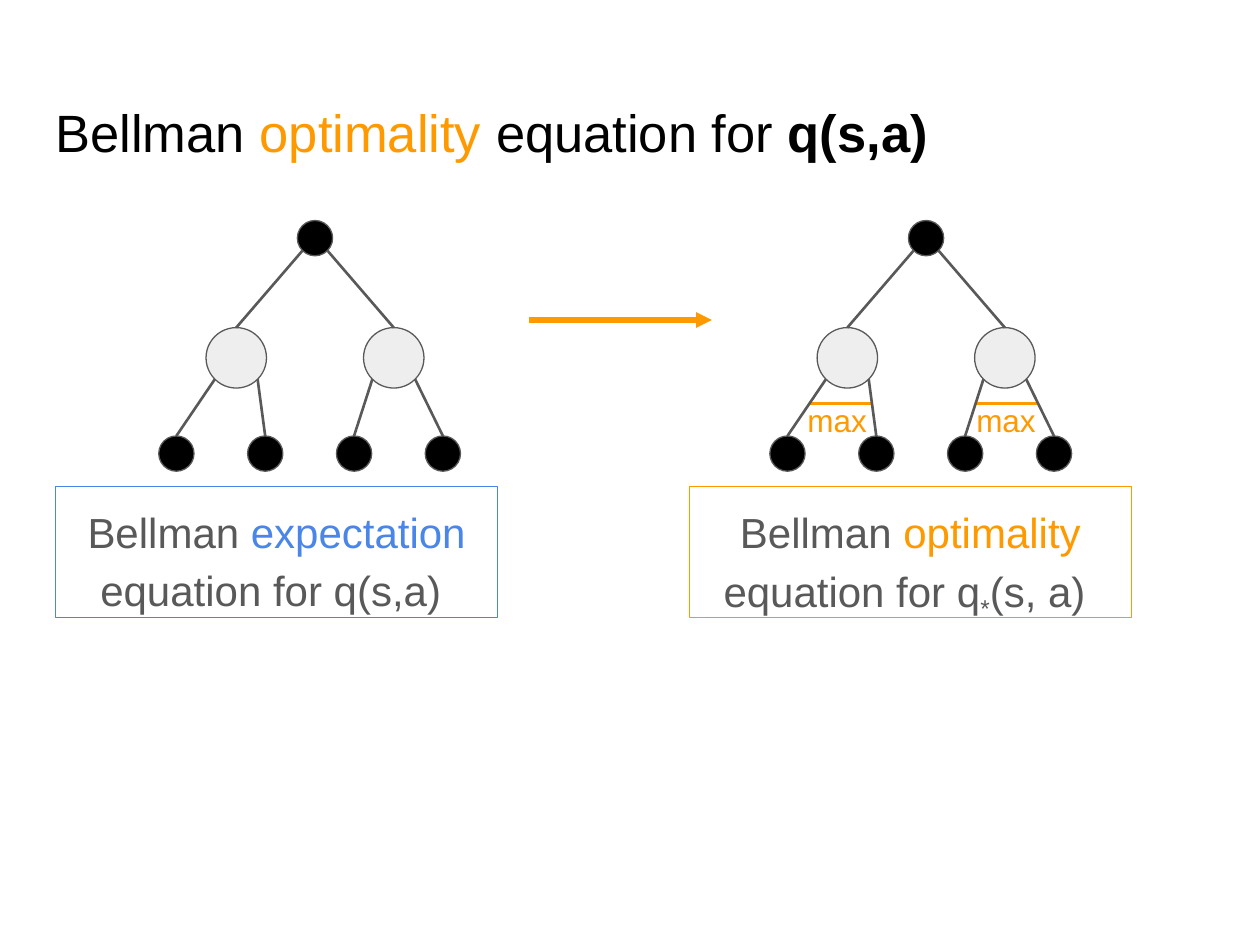
from math import pi, sin

from lxml.etree import SubElement
from pptx import Presentation
from pptx.dml.color import RGBColor
from pptx.enum.shapes import MSO_CONNECTOR, MSO_SHAPE
from pptx.enum.text import MSO_ANCHOR, PP_ALIGN
from pptx.oxml.ns import qn
from pptx.util import Inches, Pt

BLACK, GRAY, PALE = "000000", "595959", "EEEEEE"
ORANGE, BLUE = "FF9900", "4A86E8"


def color(target, value):
    target.rgb = RGBColor.from_string(value)


def add_spans(paragraph, size, spans):
    for text, value in spans:
        span = paragraph.add_run()
        span.text = text
        span.font.name = "Arial"
        span.font.size = Pt(size)
        color(span.font.color, value)


def set_frame(frame, top_margin=0.1):
    frame.word_wrap = True
    frame.vertical_anchor = MSO_ANCHOR.TOP
    frame.margin_left = frame.margin_right = frame.margin_bottom = Inches(0.1)
    frame.margin_top = Inches(top_margin)


def add_line(page, start, end, value=GRAY, width=1.5):
    line = page.shapes.add_connector(
        MSO_CONNECTOR.STRAIGHT, *(Inches(length) for length in (*start, *end)))
    color(line.line.color, value)
    line.line.width = Pt(width)
    SubElement(line._element.spPr, qn("a:effectLst"))
    return line


def add_shape(page, kind, left, top, width, height, outline, fill=None):
    shape = page.shapes.add_shape(
        kind, Inches(left), Inches(top), Inches(width), Inches(height))
    shape.shadow.inherit = False
    if fill:
        shape.fill.solid()
        color(shape.fill.fore_color, fill)
    else:
        shape.fill.background()
    color(shape.line.color, outline)
    shape.line.width = Pt(0.75)
    return shape


def add_node(page, center, top, size, fill):
    return add_shape(page, MSO_SHAPE.OVAL, center - size / 2, top, size, size, GRAY, fill)


def add_branch(page, center, top, size, side, child, child_center, child_top):
    reach = size / 2 * sin(pi / 4)
    start = (center + side * reach, top + size / 2 + reach)
    branch = add_line(page, start, (child_center, child_top))
    branch.end_connect(child, 0)


def add_max(page, left, top, bar_left):
    add_line(page, (bar_left, top + 0.12), (bar_left + 0.49, top + 0.12), ORANGE)
    label = page.shapes.add_textbox(Inches(left), Inches(top), Inches(1.18), Inches(0.5))
    set_frame(label.text_frame)
    add_spans(label.text_frame.paragraphs[0], 18, [("max", ORANGE)])


def add_tree(page, left, top, with_max=False):
    action_size, state_size = 0.28, 0.48
    state_top, leaf_top = top + 0.85, top + 1.71
    root = left + 1.24
    if with_max:
        add_max(page, left + 0.2, top + 1.33, left + 0.32)
        add_max(page, left + 1.54, top + 1.33, left + 1.63)
    add_node(page, root, top, action_size, BLACK)
    for index, side in enumerate((-1, 1)):
        center = root + side * 0.625
        state = add_node(page, center, state_top, state_size, PALE)
        add_branch(page, root, top, action_size, side, state, center, state_top)
        for offset, leaf_side in enumerate((-1, 1)):
            leaf_center = left + 0.14 + 0.705 * (2 * index + offset)
            leaf = add_node(page, leaf_center, leaf_top, action_size, BLACK)
            add_branch(page, center, state_top, state_size, leaf_side,
                       leaf, leaf_center, leaf_top)


def add_caption(page, left, top, outline, spans):
    box = add_shape(page, MSO_SHAPE.RECTANGLE, left, top, 3.51, 1.04, outline)
    set_frame(box.text_frame)
    para = box.text_frame.paragraphs[0]
    para.alignment = PP_ALIGN.CENTER
    para.line_spacing = 1.15
    para.space_after = Pt(16)
    add_spans(para, 24, spans)
    return para


def add_title(page, left, top, width, height):
    title = page.shapes.title
    title.left, title.top = Inches(left), Inches(top)
    title.width, title.height = Inches(width), Inches(height)
    set_frame(title.text_frame, 0.14)
    para = title.text_frame.paragraphs[0]
    para.alignment = PP_ALIGN.LEFT
    add_spans(para, 30, [("Bellman ", BLACK), ("optimality", ORANGE),
                         (" equation for ", BLACK), ("q(s,a)", BLACK)])
    para.runs[-1].font.bold = True


def add_arrow(page, start, end):
    arrow = add_line(page, start, end, ORANGE, 3)
    SubElement(arrow.line._get_or_add_ln(), qn("a:tailEnd"), type="triangle")


def main():
    deck = Presentation()
    deck.slide_width, deck.slide_height = Inches(10), Inches(7.5)
    page = deck.slides.add_slide(deck.slide_layouts[5])
    add_title(page, 0.34, 0.65, 9.32, 0.83)
    add_tree(page, 1.26, 1.75)
    add_arrow(page, (4.2, 2.54), (5.65, 2.54))
    add_tree(page, 6.11, 1.75, with_max=True)
    add_caption(page, 0.44, 3.86, BLUE, [
        ("Bellman ", GRAY), ("expectation", BLUE), (" equation for q(s,a) ", GRAY)])
    optimal = add_caption(page, 5.47, 3.86, ORANGE, [
        ("Bellman ", GRAY), ("optimality", ORANGE), (" equation for q", GRAY),
        ("*", GRAY), ("(s, a) ", GRAY)])
    optimal.runs[3].font._element.set("baseline", "-25000")
    deck.save("out.pptx")


if __name__ == "__main__":
    main()
